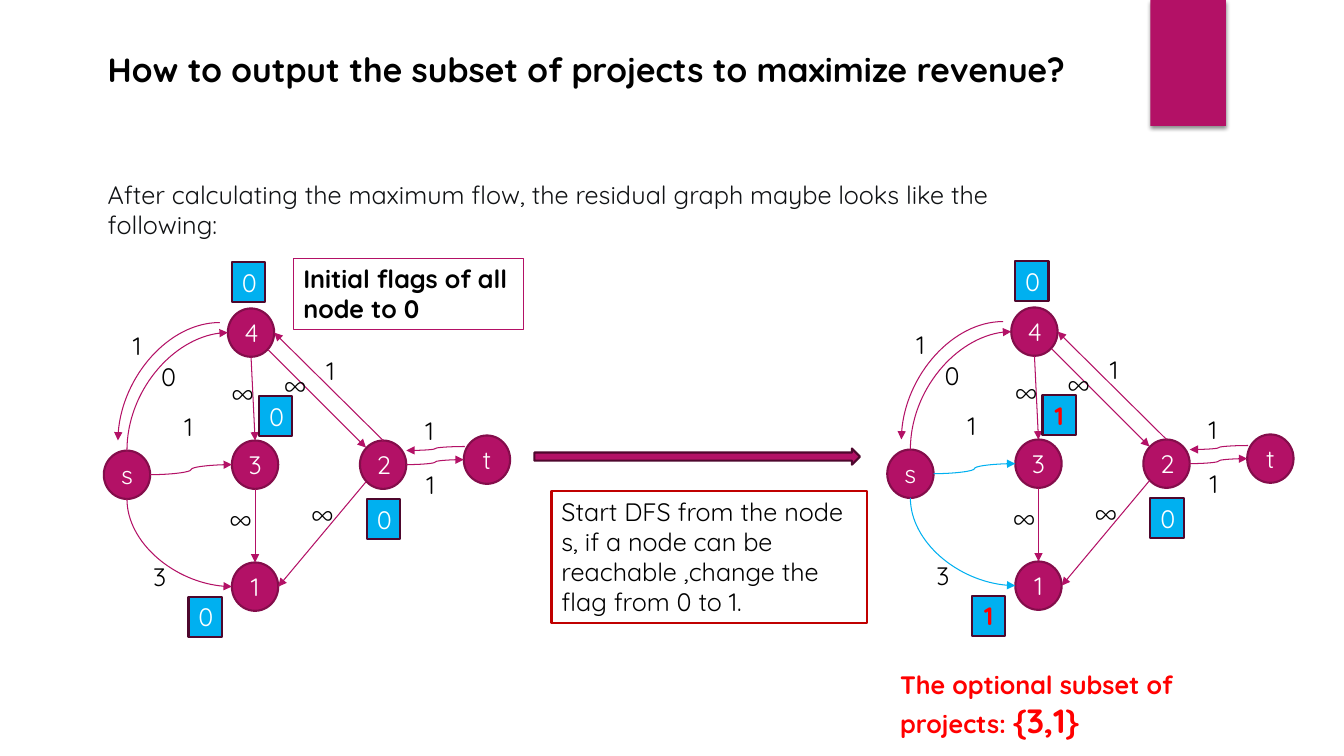
from lxml import etree
from pptx import Presentation
from pptx.dml.color import RGBColor
from pptx.enum.shapes import MSO_CONNECTOR as CXN, MSO_SHAPE as SHAPE
from pptx.enum.text import MSO_ANCHOR, MSO_AUTO_SIZE, PP_ALIGN
from pptx.oxml.ns import qn
from pptx.util import Inches, Pt

FONT = "Quicksand"
MAGENTA, PLUM, DARK, BLUE = "B31166", "840D4B", "4E072D", "00B0F0"
BLACK, WHITE, RED = "000000", "FFFFFF", "FF0000"

TITLE = "How to output the subset of projects to maximize revenue?"
INTRO = ("After calculating the maximum flow, the residual graph maybe "
         "looks like the following:")
INITIAL = "Initial flags of all node to 0"
SEARCH = ("Start DFS from the node s, if a node can be reachable ,"
          "change the flag from 0 to 1.")
ANSWER = [("The optional subset of projects: ", 18), ("{3,1}", 24)]

# Positions below are those of the left graph, in inches
NODE_SIZE, FLAG_SIZE = (0.46, 0.48), (0.33, 0.4)
NODES = {"1": (2.3, 5.58), "3": (2.3, 4.37), "4": (2.26, 3.06),
         "2": (3.57, 4.37), "s": (1.03, 4.47), "t": (4.6, 4.32)}
FLAGS = {"4": (2.3, 2.6), "3": (2.57, 3.93), "1": (1.87, 5.92), "2": (3.64, 4.95)}
# name, shape, begin, end, arrowhead side
EDGES = [
    ("4-3", "line", (2.49, 3.54), (2.53, 4.37), "tail"),
    ("4-2", "line", (2.66, 3.47), (3.63, 4.44), "tail"),
    ("3-1", "line", (2.53, 4.85), (2.53, 5.58), "tail"),
    ("2-1", "line", (3.63, 4.78), (2.76, 5.82), "tail"),
    ("2-4", "line", (3.8, 4.37), (2.72, 3.3), "tail"),
    ("2-t", "wave", (4.03, 4.61), (4.6, 4.56), "tail"),
    ("t-2", "wave", (4.61, 4.43), (4.03, 4.47), "tail"),
    ("s-3", "wave", (1.49, 4.71), (2.3, 4.61), "tail"),
    ("s-4", "arc", (2.26, 3.3), (1.26, 4.47), "head"),
    ("4-s", "arc", (2.18, 3.2), (1.17, 4.37), "tail"),
    ("s-1", "arc", (2.3, 5.82), (1.26, 4.95), "head"),
]
CAPACITIES = [
    ("3", 1.42, 5.52), ("1", 1.73, 4.03), ("1", 4.13, 4.61), ("1", 1.22, 3.23),
    ("∞", 2.72, 3.6), ("∞", 2.18, 4.93), ("∞", 2.2, 3.68), ("∞", 2.99, 4.88),
    ("0", 1.5, 3.54), ("1", 3.14, 3.48), ("1", 4.12, 4.07),
]
# offset, reached nodes, edges followed by the search
GRAPHS = [((0, 0), "", ()), ((7.77, -0.01), "31", ("s-3", "s-1"))]


def rgb(value):
    return RGBColor.from_string(value)


def style_text(shape, runs, color=BLACK, bold=False, wrap=True, centered=False):
    """Fill a shape with one paragraph made of (text, size) runs."""
    tf = shape.text_frame
    tf.word_wrap = wrap
    tf.auto_size = MSO_AUTO_SIZE.NONE if centered else MSO_AUTO_SIZE.SHAPE_TO_FIT_TEXT
    tf.vertical_anchor = MSO_ANCHOR.MIDDLE if centered else MSO_ANCHOR.TOP
    p = tf.paragraphs[0]
    p.alignment = PP_ALIGN.CENTER if centered else PP_ALIGN.LEFT
    for text, size in runs:
        r = p.add_run()
        r.text = text
        r.font.name, r.font.size, r.font.bold = FONT, Pt(size), bold
        r.font.color.rgb = rgb(color)


def add_text(s, box, runs, **style):
    style_text(s.shapes.add_textbox(*map(Inches, box)), runs, **style)


def add_box(s, kind, box, fill=None, line=None, width=1.5):
    sp = s.shapes.add_shape(kind, *map(Inches, box))
    sp.shadow.inherit = False
    if fill:
        sp.fill.solid()
        sp.fill.fore_color.rgb = rgb(fill)
    else:
        sp.fill.background()
    if line:
        sp.line.color.rgb = rgb(line)
        sp.line.width = Pt(width)
    else:
        sp.line.fill.background()
    return sp


def add_edge(s, shape, begin, end, arrow, color):
    kind = CXN.STRAIGHT if shape == "line" else CXN.CURVE
    c = s.shapes.add_connector(kind, *map(Inches, begin + end))
    c.line.color.rgb = rgb(color)
    c.line.width = Pt(0.75)
    sp_pr = c._element.spPr
    if shape == "arc":
        sp_pr.find(qn("a:prstGeom")).set("prst", "curvedConnector2")
    etree.SubElement(sp_pr.find(qn("a:ln")), qn(f"a:{arrow}End"), type="triangle")
    etree.SubElement(sp_pr, qn("a:effectLst"))


def add_graph(s, offset, reached, followed):
    dx, dy = offset

    def shift(point):
        return point[0] + dx, point[1] + dy

    for name, at in NODES.items():
        node = add_box(s, SHAPE.OVAL, shift(at) + NODE_SIZE, MAGENTA, PLUM)
        style_text(node, [(name, 18)], WHITE, centered=True)
    for name, shape, begin, end, arrow in EDGES:
        color = BLUE if name in followed else MAGENTA
        add_edge(s, shape, shift(begin), shift(end), arrow, color)
    for text, x, y in CAPACITIES:
        width = 0.38 if text == "∞" else 0.34
        add_text(s, shift((x, y)) + (width, 0.4), [(text, 18)], wrap=False)
    for name, at in FLAGS.items():
        flag = add_box(s, SHAPE.RECTANGLE, shift(at) + FLAG_SIZE, BLUE, DARK)
        hit = name in reached
        style_text(flag, [("1" if hit else "0", 18)], RED if hit else WHITE,
                   bold=hit, centered=True)


def add_shadow(shape):
    effects = shape._element.spPr.find(qn("a:effectLst"))
    outer = etree.SubElement(effects, qn("a:outerShdw"), blurRad=str(Pt(3)),
                             dist=str(Pt(2)), dir="5400000", rotWithShape="0")
    color = etree.SubElement(outer, qn("a:srgbClr"), val=BLACK)
    etree.SubElement(color, qn("a:alpha"), val="45000")


def main():
    prs = Presentation()
    prs.slide_width, prs.slide_height = Inches(13.33), Inches(7.5)
    s = prs.slides.add_slide(prs.slide_layouts[6])

    add_shadow(add_box(s, SHAPE.RECTANGLE, (11.41, 0, 0.75, 1.25), MAGENTA))
    add_text(s, (0.97, 0.44, 10.28, 0.5), [(TITLE, 24)], bold=True, wrap=False)
    add_text(s, (0.97, 1.73, 9.34, 0.71), [(INTRO, 18)], color="101214")

    for graph in GRAPHS:
        add_graph(s, *graph)

    initial = add_box(s, SHAPE.RECTANGLE, (2.91, 2.56, 2.28, 0.71),
                      line=MAGENTA, width=0.75)
    style_text(initial, [(INITIAL, 18)], bold=True)
    add_box(s, SHAPE.RIGHT_ARROW, (5.3, 4.45, 3.23, 0.16), MAGENTA, DARK)
    search = add_box(s, SHAPE.RECTANGLE, (5.47, 4.87, 3.13, 1.31), line="C00000")
    style_text(search, [(SEARCH, 18)])
    add_text(s, (8.83, 6.59, 3.94, 0.81), ANSWER, color=RED, bold=True)
    prs.save("out.pptx")


if __name__ == "__main__":
    main()
